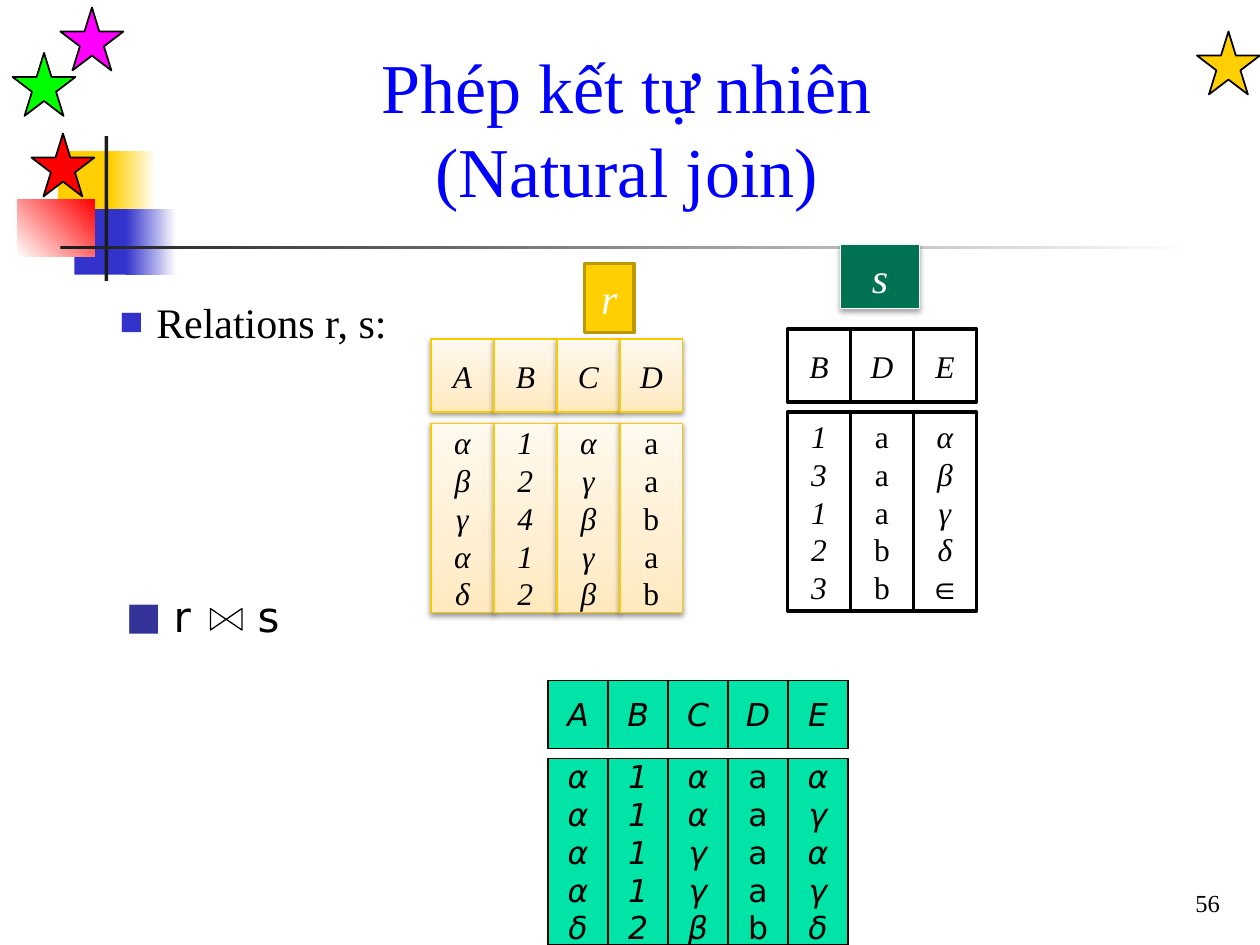
import pptx
import pptx.dml.color
import pptx.enum.shapes
import pptx.enum.text
import pptx.util
from lxml import etree
from pptx.oxml.ns import qn

Inches, Pt = pptx.util.Inches, pptx.util.Pt
SHAPE = pptx.enum.shapes.MSO_SHAPE
ALIGN = pptx.enum.text.PP_ALIGN
ANCHOR = pptx.enum.text.MSO_ANCHOR
SERIF, SANS = "Times New Roman", "DejaVu Sans"
COLORS = {
    "black": "000000", "white": "FFFFFF", "gold": "FFCF01", "dark_gold": "BD9901",
    "blue": "3333CC", "red": "FF0000", "lime": "00FF00", "magenta": "FF00FF",
    "ink": "1C1C1C", "title": "0000FF", "bullet": "333399", "mint": "00E4A8",
    "forest": "007254", "pale": "F9F9F9", "amber": "FACB00",
    "cream_low": "FFE9BD", "cream_mid": "FFEFD1", "cream_high": "FFF9EE",
}
CREAM = ([(0, "cream_low"), (35, "cream_mid"), (100, "cream_high")], 270)


def rgb(name):
    """Return the named colour."""
    return pptx.dml.color.RGBColor.from_string(COLORS[name])


def sub(parent, tag, **attrs):
    """Append an XML element with attributes."""
    return etree.SubElement(parent, qn(tag), {k: str(v) for k, v in attrs.items()})


def set_gradient(sp, stops, angle):
    """Fill a shape with a linear gradient at a clockwise angle."""
    sp.fill.gradient()
    sp.fill.gradient_angle = -angle % 360
    gs_list = sp._element.spPr.find(".//" + qn("a:gsLst"))
    for gs in list(gs_list):
        gs_list.remove(gs)
    for pos, color in stops:
        gs = sub(gs_list, "a:gs", pos=pos * 1000)
        sub(gs, "a:srgbClr", val=COLORS[color])


def add_shape(s, box, fill=None, line=None, width=0.75, kind=SHAPE.RECTANGLE, shadow=None):
    """Add a shape with a solid, gradient or empty fill."""
    sp = s.shapes.add_shape(kind, *map(Inches, box))
    sp.shadow.inherit = False
    if fill is None:
        sp.fill.background()
    elif isinstance(fill, tuple):
        set_gradient(sp, *fill)
    else:
        sp.fill.solid()
        sp.fill.fore_color.rgb = rgb(fill)
    if line:
        sp.line.color.rgb = rgb(line)
        sp.line.width = Pt(width)
    else:
        sp.line.fill.background()
    if shadow:
        effects = sp._element.spPr.find(qn("a:effectLst"))
        outer = sub(effects, "a:outerShdw", blurRad=Pt(3.1), dist=Pt(shadow[1]),
                    dir=5400000, rotWithShape=0)
        sub(sub(outer, "a:srgbClr", val=COLORS["black"]), "a:alpha", val=shadow[0] * 1000)
    return sp


def write(sp, lines, size, font, color="black", align=ALIGN.CENTER,
          anchor=ANCHOR.MIDDLE, italic=False, wrap=False, spacing=None):
    """Write uniformly formatted paragraphs into a shape."""
    tf = sp.text_frame
    tf.word_wrap, tf.vertical_anchor = wrap, anchor
    for i, line in enumerate(lines):
        p = tf.add_paragraph() if i else tf.paragraphs[0]
        p.text = line
        p.alignment = align
        if spacing:
            p.line_spacing = Pt(spacing)
        p.font.size, p.font.name, p.font.italic = Pt(size), font, italic
        p.font.color.rgb = rgb(color)


def add_decoration(s, left, top):
    """Draw the coloured blocks and cross lines at the upper left."""
    for x, y, w, h, fill in [
        (0.36, 0.12, 0.48, 0.52, "gold"),
        (0.78, 0.12, 0.36, 0.52, ([(0, "gold"), (100, "white")], 0)),
        (0.49, 0.58, 0.46, 0.52, "blue"),
        (0.9, 0.58, 0.4, 0.52, ([(0, "blue"), (100, "white")], 0)),
        (0.04, 0.5, 0.61, 0.46, ([(0, "white"), (100, "red")], 315)),
        (0.73, 0, 0.03, 1.15, "ink"),
        (0.38, 0.87, 9, 0.03, ([(0, "ink"), (100, "white")], 0)),
    ]:
        add_shape(s, (left + x, top + y, w, h), fill)


def add_stars(s):
    """Scatter the four stars along the top corners."""
    for x, y, fill in [(9.5, 0.25, "gold"), (0.25, 1.06, "red"),
                       (0.1, 0.42, "lime"), (0.48, 0.06, "magenta")]:
        add_shape(s, (x, y, 0.5, 0.5), fill, "black", 1, SHAPE.STAR_5_POINT)


def add_relation(s, box, head_h, body_top, columns, font, **style):
    """Draw a relation as header cells above column cells."""
    left, top, width, height = box
    col_w = width / len(columns)
    for i, (name, values) in enumerate(columns):
        x = left + i * col_w
        head = add_shape(s, (x, top, col_w, head_h), **style)
        write(head, [name], 18, font, italic=True)
        body = add_shape(s, (x, top + body_top, col_w, height - body_top), **style)
        write(body, values, 18, font, italic=name != "D", spacing=21.6)


def add_bullet(s, box, text, font, indent, color, size, inset):
    """Add a square-bulleted line and return its paragraph."""
    sp = s.shapes.add_textbox(*map(Inches, box))
    tf = sp.text_frame
    tf.margin_left, tf.margin_top = map(Inches, inset)
    p = tf.paragraphs[0]
    pPr = p._p.get_or_add_pPr()
    pPr.set("marL", str(Inches(indent)))
    pPr.set("indent", str(-Inches(indent)))
    sub(sub(pPr, "a:buClr"), "a:srgbClr", val=COLORS[color])
    sub(pPr, "a:buSzPct", val=size * 1000)
    sub(pPr, "a:buFont", typeface=SANS)
    sub(pPr, "a:buChar", char="■")
    write(sp, [text], 24, font, align=ALIGN.LEFT, anchor=ANCHOR.TOP, wrap=True)
    return p


def add_join(s, left, top):
    """Write the join expression with its bow-tie operator in a widened space."""
    p = add_bullet(s, (left, top, 7.69, 0.45), "r", SANS, 0.38, "bullet", 90, (0.1, 0.05))
    gap = p.add_run()
    gap.text = " "
    gap._r.get_or_add_rPr().set("spc", "3050")
    p.add_run().text = "s"
    bow_tie = add_shape(s, (left + 0.81, top + 0.15, 0.17, 0.25), None, "black",
                        kind=SHAPE.FLOWCHART_COLLATE)
    bow_tie.rotation = 270


def add_title(s, box):
    """Place and format the title placeholder."""
    sp = s.shapes.title
    sp.left, sp.top, sp.width, sp.height = map(Inches, box)
    write(sp, ["Phép kết tự nhiên\v(Natural join)"], 40, SERIF, "title",
          anchor=ANCHOR.BOTTOM, wrap=True)


def main():
    """Build the natural join slide."""
    prs = pptx.Presentation()
    prs.slide_width, prs.slide_height = Inches(10), Inches(7.5)
    s = prs.slides.add_slide(prs.slide_layouts[5])
    add_decoration(s, 0.1, 1.08)
    add_stars(s)
    add_title(s, (0.5, 0.58, 8.95, 1.15))
    add_bullet(s, (0.75, 2.25, 7.48, 0.42), "Relations r, s:", SERIF, 0.29, "blue", 60,
               (0.2, 0.1))
    add_relation(s, (3.42, 2.69, 2, 2.17), 0.58, 0.67,
                 [("A", "αβγαδ"), ("B", "12412"), ("C", "αγβγβ"), ("D", "aabab")],
                 SERIF, fill=CREAM, line="amber", shadow=(38, 1.6))
    add_relation(s, (6.25, 2.61, 1.5, 2.24), 0.58, 0.66,
                 [("B", "13123"), ("D", "aaabb"), ("E", "αβγδ∈")],
                 SERIF, fill="white", line="black", width=2)
    add_relation(s, (4.35, 5.4, 2.38, 2.1), 0.54, 0.62,
                 [("A", "ααααδ"), ("B", "11112"), ("C", "ααγγβ"),
                  ("D", "aaaab"), ("E", "αγαγδ")],
                 SANS, fill="mint", line="black")
    r_label = add_shape(s, (4.64, 2.09, 0.39, 0.55), "gold", "dark_gold", 2)
    write(r_label, ["r"], 24, SERIF, "white", italic=True)
    s_label = add_shape(s, (6.67, 1.94, 0.63, 0.51), "forest", "pale", shadow=(35, 1.8))
    write(s_label, ["s"], 24, SERIF, "white", italic=True, wrap=True)
    add_join(s, 0.9, 4.64)
    number = s.shapes.add_textbox(*map(Inches, (7.7, 6.83, 2.08, 0.5)))
    write(number, ["56"], 14, SERIF, align=ALIGN.RIGHT, anchor=ANCHOR.BOTTOM, wrap=True)
    prs.save("out.pptx")


if __name__ == "__main__":
    main()
